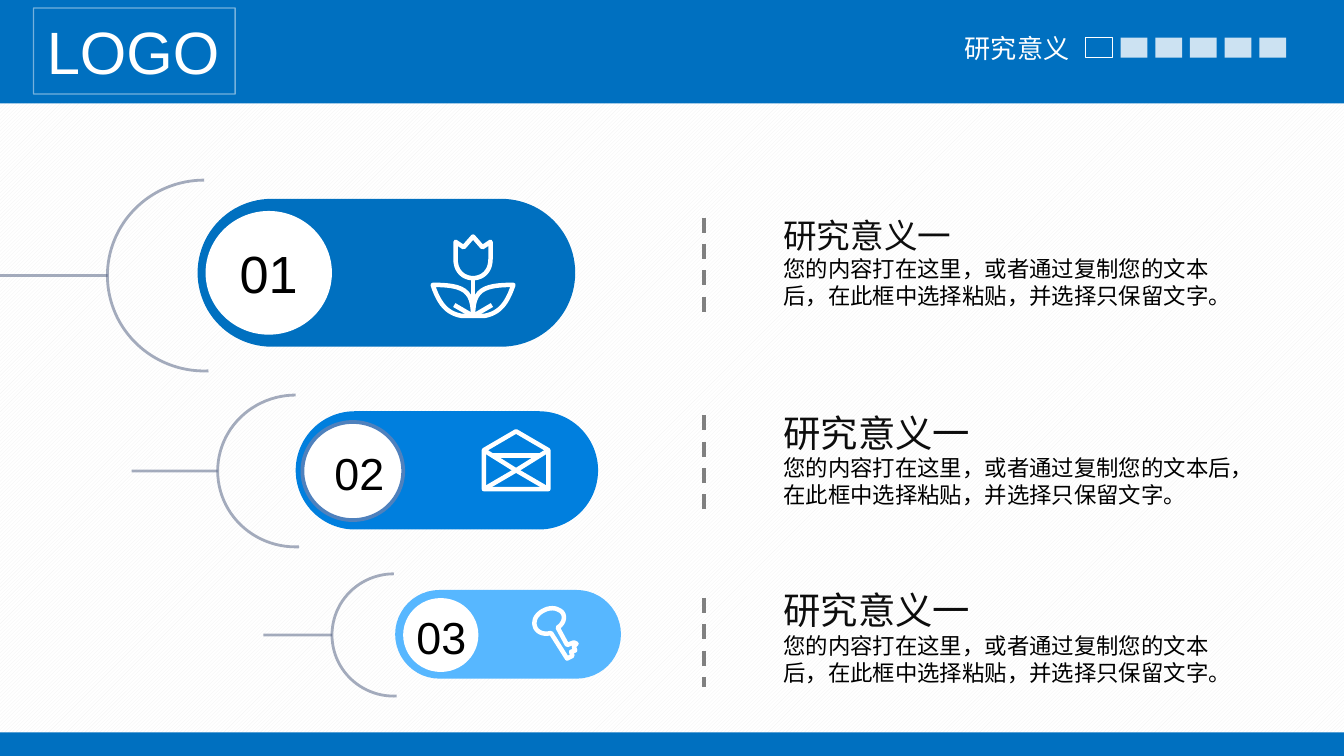
from dataclasses import dataclass
from typing import Optional

import lxml.etree
import pptx
import pptx.dml.color
import pptx.enum.dml
import pptx.enum.shapes
import pptx.enum.text
import pptx.oxml.ns
import pptx.util

Inches = pptx.util.Inches
Pt = pptx.util.Pt
RGBColor = pptx.dml.color.RGBColor
SHAPE = pptx.enum.shapes.MSO_SHAPE
qn = pptx.oxml.ns.qn
Box = tuple[float, float, float, float]

SLIDE_W = 10
SLIDE_H = SLIDE_W * 9 / 16

WHITE = RGBColor(0xFF, 0xFF, 0xFF)
BLACK = RGBColor(0x00, 0x00, 0x00)
INK = RGBColor(0x0D, 0x0D, 0x0D)
GRAY = RGBColor(0x80, 0x80, 0x80)
PALE = RGBColor(0xF2, 0xF2, 0xF2)
BLUE = RGBColor(0x00, 0x70, 0xC0)
MID_BLUE = RGBColor(0x00, 0x7F, 0xDE)
LIGHT_BLUE = RGBColor(0x57, 0xB7, 0xFF)
RING = RGBColor(0x4F, 0x81, 0xBD)
SLATE = RGBColor(0x4B, 0x5A, 0x7D)

BODY = "您的内容打在这里，或者通过复制您的文本后，在此框中选择粘贴，并选择只保留文字。"


@dataclass
class Stroke:
    points: list[tuple]
    closed: bool = False


@dataclass
class Step:
    number: str
    number_size: int
    number_box: Optional[Box]
    color: RGBColor
    pill: Box
    circle: Box
    ring: Optional[RGBColor]
    arc: Box
    tail_x: float
    icon: list[Stroke]
    divider: tuple[float, float]
    text_box: Box
    title_size: int


def mirror(stroke: Stroke, axis: float) -> Stroke:
    points = [tuple(2 * axis - v if i % 2 == 0 else v for i, v in enumerate(pt))
              for pt in stroke.points]
    return Stroke(points, stroke.closed)


LEAF = Stroke([(3.52, 2.35), (3.52, 2.16, 3.45, 2.12, 3.22, 2.12),
               (3.27, 2.27, 3.33, 2.33, 3.43, 2.35)], True)
VEIN = Stroke([(3.38, 2.27), (3.5, 2.34)])
FLOWER = [
    Stroke([(3.39, 1.93), (3.39, 2.02, 3.45, 2.07, 3.52, 2.07),
            (3.59, 2.07, 3.65, 2.02, 3.65, 1.93), (3.65, 1.8), (3.59, 1.84),
            (3.52, 1.76), (3.45, 1.84), (3.39, 1.8)], True),
    Stroke([(3.52, 2.07), (3.52, 2.34)]),
    LEAF, VEIN, mirror(LEAF, 3.52), mirror(VEIN, 3.52),
]
ENVELOPE = [
    Stroke([(3.6, 3.35), (3.84, 3.21), (4.08, 3.35), (4.08, 3.64), (3.6, 3.64)], True),
    Stroke([(3.6, 3.35), (3.84, 3.5), (4.08, 3.35)]),
    Stroke([(3.66, 3.39), (4.02, 3.39)]),
    Stroke([(3.6, 3.64), (3.84, 3.5), (4.08, 3.64)]),
]
KEY = [
    Stroke([(4.1, 4.71), (4.22, 4.9), (4.26, 4.88), (4.25, 4.85), (4.28, 4.84),
            (4.27, 4.81), (4.29, 4.79), (4.27, 4.78), (4.22, 4.8), (4.15, 4.67),
            (4.21, 4.63, 4.21, 4.56, 4.16, 4.54),
            (4.1, 4.5, 4, 4.55, 3.98, 4.61),
            (3.96, 4.69, 4.03, 4.73, 4.1, 4.71)], True),
]

STEPS = [
    Step("01", 28, None, BLUE, (1.47, 1.48, 2.81, 1.1), (1.53, 1.57, 0.94, 0.92), None,
         (0.8, 1.34, 1.44, 1.42), 0, FLOWER, (1.62, 2.35), (5.73, 1.55, 3.48, 0.81), 18),
    Step("02", 24, (2.39, 3.27, 0.58, 0.5), MID_BLUE, (2.2, 3.06, 2.25, 0.88),
         (2.25, 3.14, 0.75, 0.73), RING, (1.62, 2.94, 1.16, 1.13), 0.98, ENVELOPE,
         (3.09, 3.82), (5.73, 3, 3.58, 0.84), 20),
    Step("03", 24, (3, 4.49, 0.58, 0.5), LIGHT_BLUE, (2.94, 4.39, 1.68, 0.66),
         (3, 4.45, 0.56, 0.55), None, (2.47, 4.27, 0.92, 0.91), 1.96, KEY,
         (4.45, 5.11), (5.73, 4.32, 3.48, 0.84), 20),
]


def set_alpha(fill_parent, percent: int) -> None:
    color = fill_parent.find(qn("a:solidFill"))[0]
    lxml.etree.SubElement(color, qn("a:alpha")).set("val", str(percent * 1000))


def set_line(sp, color: Optional[RGBColor], width: float = 1, alpha: int = 100) -> None:
    if color is None:
        sp.line.fill.background()
        return
    sp.line.color.rgb = color
    sp.line.width = Pt(width)
    if alpha < 100:
        set_alpha(sp.line._get_or_add_ln(), alpha)


def add_shape(s, kind, box: Box, fill: Optional[RGBColor] = None, alpha: int = 100):
    sp = s.shapes.add_shape(kind, *map(Inches, box))
    sp.shadow.inherit = False
    if fill is None:
        sp.fill.background()
    else:
        sp.fill.solid()
        sp.fill.fore_color.rgb = fill
        if alpha < 100:
            set_alpha(sp._element.spPr, alpha)
    set_line(sp, None)
    return sp


def add_line(s, start: tuple[float, float], end: tuple[float, float],
             color: RGBColor, width: float, alpha: int = 100):
    cxn = s.shapes.add_connector(pptx.enum.shapes.MSO_CONNECTOR.STRAIGHT,
                                 *map(Inches, start + end))
    set_line(cxn, color, width, alpha)
    lxml.etree.SubElement(cxn._element.spPr, qn("a:effectLst"))
    return cxn


def add_run(p, text: str, size: int, color: RGBColor) -> None:
    r = p.add_run()
    r.text = text
    r.font.size = Pt(size)
    r.font.name = "Arial"
    r.font.color.rgb = color


def add_text(s, box: Box, lines: list[tuple[str, int, RGBColor]], wrap: bool = False):
    sp = s.shapes.add_textbox(*map(Inches, box))
    tf = sp.text_frame
    tf.word_wrap = wrap
    for i, line in enumerate(lines):
        p = tf.add_paragraph() if i else tf.paragraphs[0]
        add_run(p, *line)
    return sp


def flatten(points: list[tuple], steps: int = 12) -> list[tuple[float, float]]:
    flat = [points[0]]
    for pt in points[1:]:
        if len(pt) == 2:
            flat.append(pt)
            continue
        curve = [flat[-1], pt[:2], pt[2:4], pt[4:]]
        for t in (i / steps for i in range(1, steps + 1)):
            weights = ((1 - t) ** 3, 3 * t * (1 - t) ** 2, 3 * t * t * (1 - t), t ** 3)
            flat.append(tuple(sum(w * c[axis] for w, c in zip(weights, curve))
                              for axis in (0, 1)))
    return flat


def add_stroke(s, stroke: Stroke) -> None:
    points = [(Inches(x), Inches(y)) for x, y in flatten(stroke.points)]
    builder = s.shapes.build_freeform(*points[0])
    builder.add_line_segments(points[1:], close=stroke.closed)
    sp = builder.convert_to_shape()
    sp.shadow.inherit = False
    sp.fill.background()
    set_line(sp, WHITE, 2.4)


def add_step(s, step: Step) -> None:
    divider = add_line(s, (5.24, step.divider[0]), (5.24, step.divider[1]), GRAY, 2)
    divider.line.dash_style = pptx.enum.dml.MSO_LINE.DASH
    add_text(s, step.text_box, [("研究意义一", step.title_size, INK), (BODY, 12, BLACK)], True)

    pill = add_shape(s, SHAPE.ROUNDED_RECTANGLE, step.pill, step.color)
    pill.adjustments[0] = 0.5
    circle = add_shape(s, SHAPE.OVAL, step.circle, WHITE)
    set_line(circle, step.ring, 2)
    arc = add_shape(s, SHAPE.ARC, step.arc)
    arc.adjustments[0] = 52.46
    arc.adjustments[1] = 162
    set_line(arc, SLATE, 1.5, 50)
    left, top, _, height = step.arc
    middle = top + height / 2
    add_line(s, (left, middle), (step.tail_x, middle), SLATE, 1.5, 50)

    if step.number_box:
        add_text(s, step.number_box, [(step.number, step.number_size, BLACK)])
    else:
        tf = circle.text_frame
        tf.vertical_anchor = pptx.enum.text.MSO_ANCHOR.MIDDLE
        tf.paragraphs[0].alignment = pptx.enum.text.PP_ALIGN.CENTER
        add_run(tf.paragraphs[0], step.number, step.number_size, BLACK)
    for stroke in step.icon:
        add_stroke(s, stroke)


def main() -> None:
    prs = pptx.Presentation()
    prs.slide_width, prs.slide_height = Inches(SLIDE_W), Inches(SLIDE_H)
    s = prs.slides.add_slide(prs.slide_layouts[6])
    bg = s.background.fill
    bg.patterned()
    bg.pattern = pptx.enum.dml.MSO_PATTERN.LIGHT_UPWARD_DIAGONAL
    bg.fore_color.rgb = PALE
    bg.back_color.rgb = WHITE

    add_shape(s, SHAPE.RECTANGLE, (0, 0, SLIDE_W, 0.77), BLUE)
    add_shape(s, SHAPE.RECTANGLE, (0, 5.45, SLIDE_W, SLIDE_H - 5.45), BLUE)
    add_text(s, (7.08, 0.19, 1, 0.34), [("研究意义", 14, WHITE)])
    for i in range(6):
        box = (8.08 + i * 1.29 / 5, 0.28, 0.2, 0.15)
        if i:
            add_shape(s, SHAPE.RECTANGLE, box, WHITE, 80)
        else:
            set_line(add_shape(s, SHAPE.RECTANGLE, box), WHITE, 0.5)
    set_line(add_text(s, (0.25, 0.06, 1.5, 0.64), [("LOGO", 32, WHITE)]), WHITE, 0.75, 46)
    for step in STEPS:
        add_step(s, step)
    prs.save("out.pptx")


if __name__ == "__main__":
    main()
